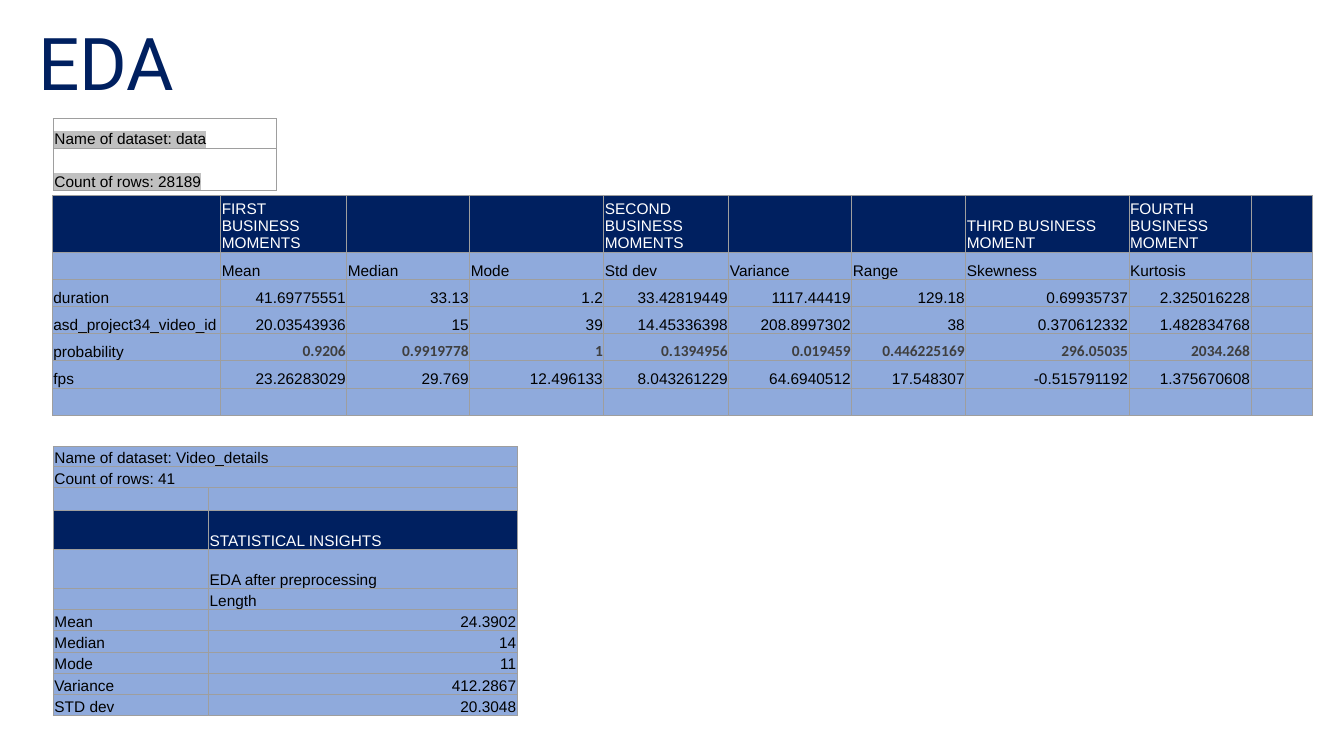
"""Build the EDA slide with its three summary tables."""
from lxml import etree
from pptx import Presentation
from pptx.dml.color import RGBColor
from pptx.enum.text import MSO_ANCHOR, PP_ALIGN
from pptx.oxml.ns import qn
from pptx.util import Inches, Pt

NAVY = RGBColor(0x00, 0x20, 0x60)
BLUE = RGBColor(0x8F, 0xAA, 0xDC)
WHITE = RGBColor(0xFF, 0xFF, 0xFF)
BLACK = RGBColor(0x00, 0x00, 0x00)
DARK = RGBColor(0x3F, 0x3F, 0x3F)
GREY = RGBColor(0x9E, 0x9E, 0x9E)
SILVER = RGBColor(0xC0, 0xC0, 0xC0)

DATASET = [["Name of dataset: data"], ["Count of rows: 28189"]]
MOMENTS = [
    ["", "FIRST BUSINESS MOMENTS", "", "", "SECOND BUSINESS MOMENTS", "", "",
     "THIRD BUSINESS MOMENT", "FOURTH BUSINESS MOMENT", ""],
    ["", "Mean", "Median", "Mode", "Std dev", "Variance", "Range", "Skewness", "Kurtosis", ""],
    ["duration", "41.69775551", "33.13", "1.2", "33.42819449", "1117.44419", "129.18",
     "0.69935737", "2.325016228", ""],
    ["asd_project34_video_id", "20.03543936", "15", "39", "14.45336398", "208.8997302", "38",
     "0.370612332", "1.482834768", ""],
    ["probability", "0.9206", "0.9919778", "1", "0.1394956", "0.019459", "0.446225169",
     "296.05035", "2034.268", ""],
    ["fps", "23.26283029", "29.769", "12.496133", "8.043261229", "64.6940512", "17.548307",
     "-0.515791192", "1.375670608", ""],
    [""] * 10,
]
VIDEO = [
    ["Name of dataset: Video_details", ""],
    ["Count of rows: 41", ""],
    ["", ""],
    ["", "STATISTICAL INSIGHTS"],
    ["", "EDA after preprocessing"],
    ["", "Length"],
    ["Mean", "24.3902"],
    ["Median", "14"],
    ["Mode", "11"],
    ["Variance", "412.2867"],
    ["STD dev", "20.3048"],
]
TABLES = [
    dict(rows=MOMENTS, left=0.52, top=1.94, fill=BLUE, header=0, bold=4,
         widths=[1.67, 1.25, 1.22, 1.33, 1.24, 1.22, 1.13, 1.62, 1.21, 0.61],
         heights=[0.53] + [0.27] * 6),
    dict(rows=DATASET, left=0.53, top=1.18, highlight=SILVER, widths=[2.21], heights=[0.29, 0.42]),
    dict(rows=VIDEO, left=0.53, top=4.43, fill=BLUE, header=3, merged=(0, 1),
         widths=[1.54, 3.06], heights=[0.2, 0.21, 0.22, 0.39, 0.39] + [0.21] * 6),
]


def is_number(text):
    return text.lstrip("-").replace(".", "").isdigit()


def add_color(parent, tag, color):
    holder = etree.SubElement(parent, qn(tag))
    etree.SubElement(holder, qn("a:srgbClr"), val=str(color))
    return holder


def add_borders(cell):
    tc_pr = cell._tc.get_or_add_tcPr()
    for i, side in enumerate(("a:lnL", "a:lnR", "a:lnT", "a:lnB")):
        ln = etree.Element(qn(side), w=str(Pt(0.75)))
        add_color(ln, "a:solidFill", GREY)
        tc_pr.insert(i, ln)


def format_run(r, size, font, color, bold=False):
    r.font.size = Pt(size)
    r.font.name = font
    r.font.color.rgb = color
    r.font.bold = bold


def fill_cell(cell, text, fill, color, font, bold, highlight):
    cell.margin_left = cell.margin_right = cell.margin_top = Inches(0.01)
    cell.margin_bottom = 0
    cell.vertical_anchor = MSO_ANCHOR.BOTTOM
    if fill is None:
        cell.fill.background()
    else:
        cell.fill.solid()
        cell.fill.fore_color.rgb = fill
    add_borders(cell)
    p = cell.text_frame.paragraphs[0]
    if not text:
        p._p.get_or_add_endParaRPr().set("sz", "1100")
        return
    p.text = text
    p.alignment = PP_ALIGN.RIGHT if is_number(text) else PP_ALIGN.LEFT
    r = p.runs[0]
    format_run(r, 11, font, color, bold)
    if highlight is not None:
        r_pr = r._r.get_or_add_rPr()
        r_pr.find(qn("a:latin")).addprevious(add_color(r_pr, "a:highlight", highlight))


def add_table(slide, rows, left, top, widths, heights, fill=None, header=None, bold=None,
              merged=(), highlight=None):
    table = slide.shapes.add_table(len(rows), len(widths), Inches(left), Inches(top),
                                   Inches(sum(widths)), Inches(sum(heights))).table
    table.first_row = table.horz_banding = False
    for column, width in zip(table.columns, widths):
        column.width = Inches(width)
    for i, (values, height) in enumerate(zip(rows, heights)):
        table.rows[i].height = Inches(height)
        for j, text in enumerate(values):
            strong = i == bold and is_number(text)
            color = WHITE if i == header else DARK if strong else BLACK
            fill_cell(table.cell(i, j), text, NAVY if i == header else fill, color,
                      "Calibri" if strong else "Arial", strong, highlight)
    for i in merged:
        table.cell(i, 0).merge(table.cell(i, len(widths) - 1))


def main():
    prs = Presentation()
    prs.slide_width, prs.slide_height = Inches(13.33), Inches(7.5)
    slide = prs.slides.add_slide(prs.slide_layouts[6])
    title = slide.shapes.add_textbox(Inches(0.28), Inches(0.2), Inches(12.14), Inches(0.93))
    tf = title.text_frame
    tf.word_wrap = True
    tf.vertical_anchor = MSO_ANCHOR.MIDDLE
    p = tf.paragraphs[0]
    p.text = "EDA"
    p.line_spacing = 0.9
    format_run(p.runs[0], 52, "Roboto", NAVY)
    for table in TABLES:
        add_table(slide, **table)
    prs.save("out.pptx")


if __name__ == "__main__":
    main()
